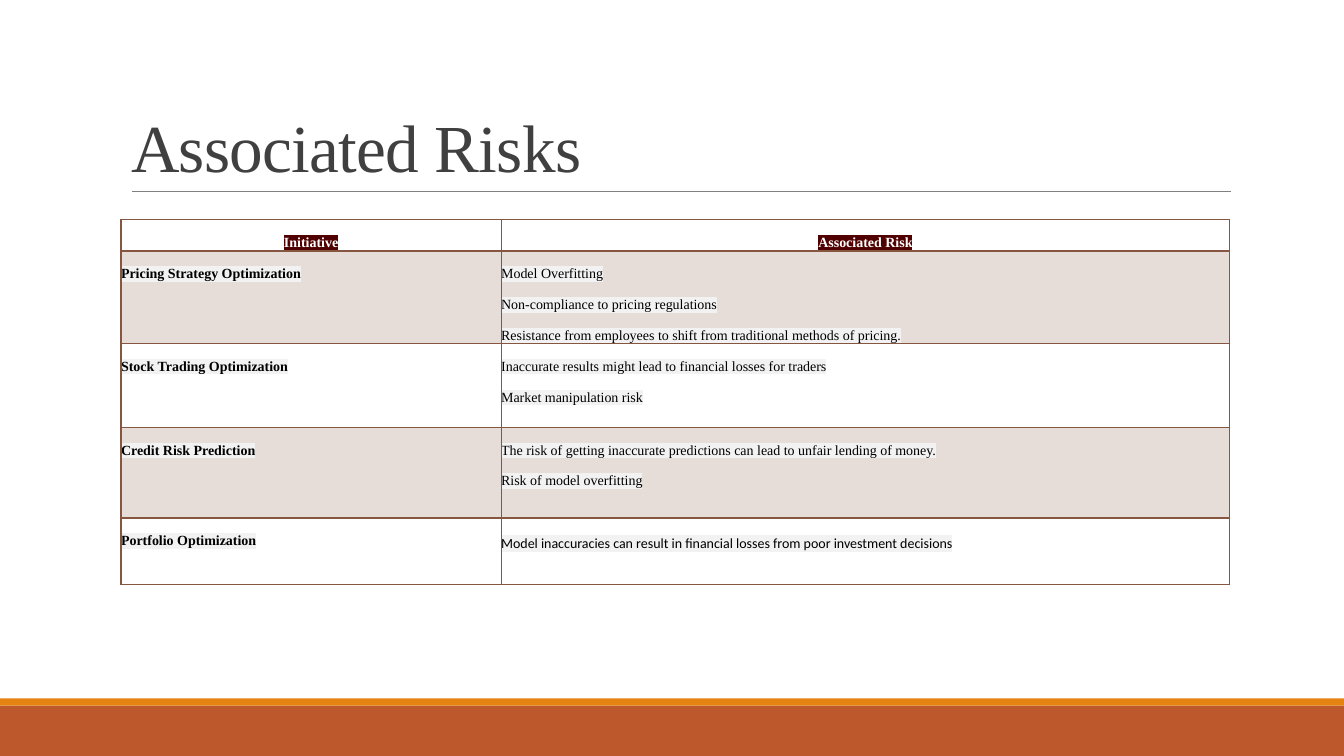
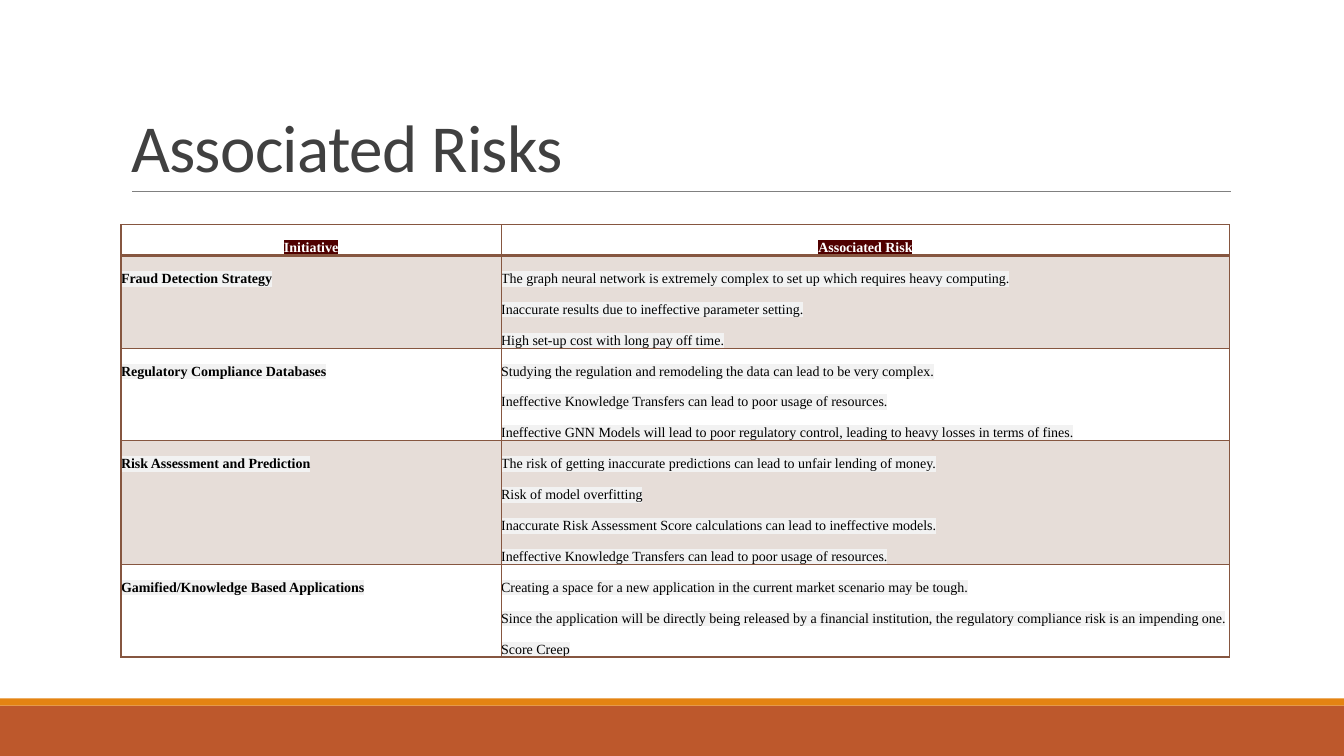
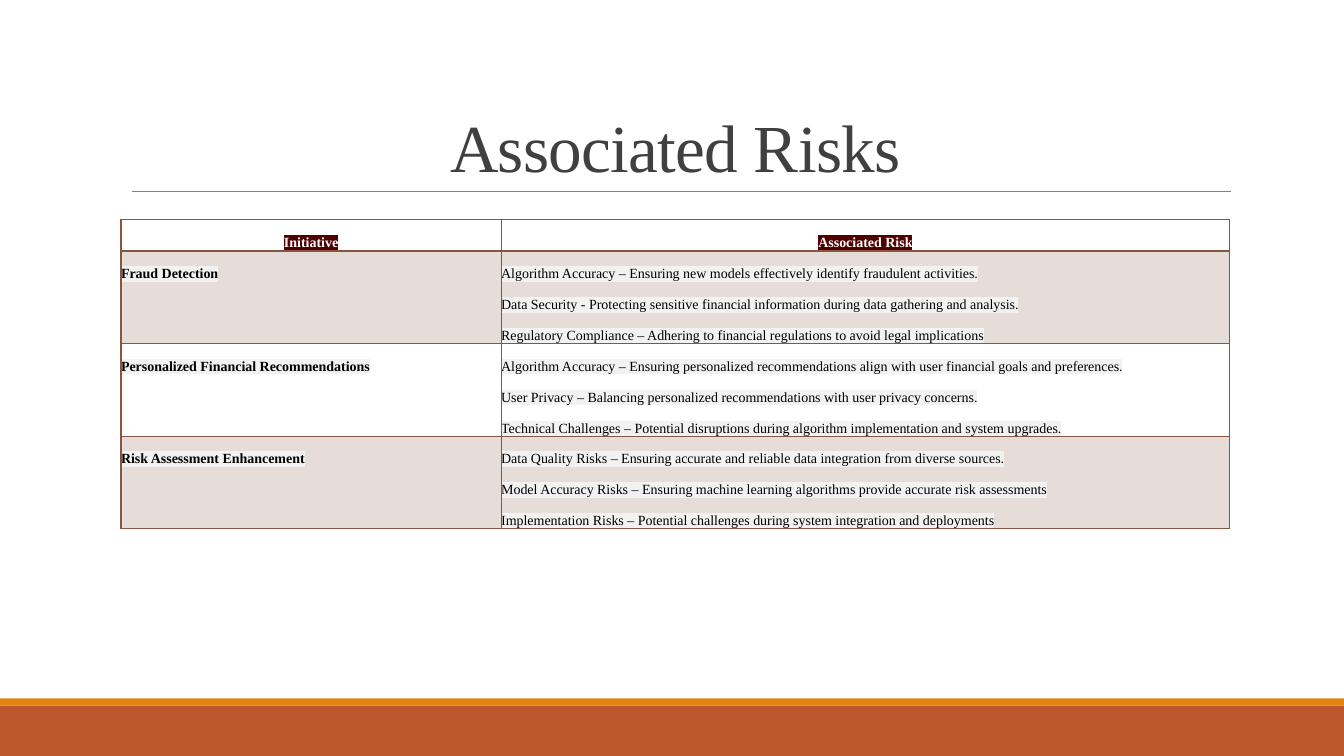
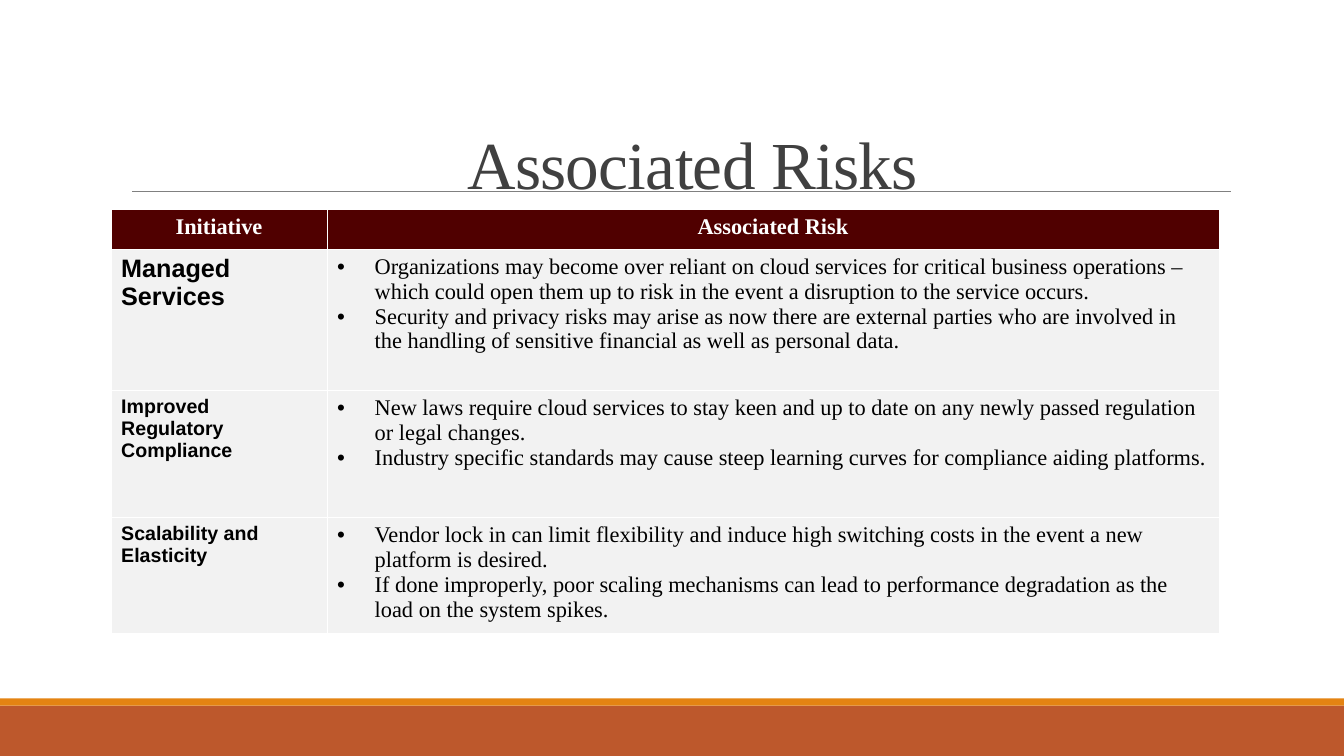
from dataclasses import dataclass
from typing import Optional

from lxml.etree import SubElement
from pptx import Presentation
from pptx.dml.color import RGBColor
from pptx.enum.shapes import MSO_CONNECTOR, MSO_SHAPE
from pptx.enum.text import MSO_ANCHOR as Anchor, MSO_AUTO_SIZE as AutoSize, PP_ALIGN as Align
from pptx.oxml.ns import qn
from pptx.util import Cm, Pt

RUST = RGBColor(0xBD, 0x58, 0x2C)
ORANGE = RGBColor(0xE4, 0x83, 0x12)
GREY = RGBColor(0x80, 0x80, 0x80)
CHARCOAL = RGBColor(0x40, 0x40, 0x40)
BROWN = RGBColor(0x86, 0x56, 0x40)
MAROON = RGBColor(0x50, 0x00, 0x00)
PALE = RGBColor(0xF2, 0xF2, 0xF2)
BLACK = RGBColor(0x00, 0x00, 0x00)
WHITE = RGBColor(0xFF, 0xFF, 0xFF)

SERIF = "Times New Roman"
SANS = "Calibri"
HEADINGS = ("Initiative", "Associated Risk")
HANGING = Cm(0.95)


@dataclass(frozen=True)
class TextStyle:
    size: float
    font: str = SERIF
    bold: bool = False
    color: RGBColor = BLACK
    highlight: RGBColor = PALE
    align: Align = Align.LEFT
    spacing: float = 1.0
    hanging: bool = False
    bullet: bool = False


@dataclass(frozen=True)
class CellStyle:
    border: RGBColor
    width: float = 1
    bottom: float = 1
    fill: Optional[RGBColor] = None
    alpha: int = 100
    inset: Optional[float] = None


@dataclass(frozen=True)
class Risk:
    initiative: str
    risks: tuple[str, ...]
    height: float = 2.11
    name_size: float = 10
    risk_font: str = SERIF


@dataclass(frozen=True)
class TableStyle:
    left: float
    columns: tuple[float, float]
    header_height: float
    header_text: TextStyle
    header_cell: CellStyle
    band_cells: tuple[CellStyle, CellStyle]
    name_font: str
    name_align: Align
    risk_size: float
    spacing: float
    bullet: bool


@dataclass(frozen=True)
class RiskPage:
    style: TableStyle
    top: float
    rows: tuple[Risk, ...]
    title_font: str = SERIF
    title_align: Align = Align.LEFT
    title_at: Optional[tuple[float, float]] = None


OUTLINED = TableStyle(
    left=3.05, columns=(9.58, 18.36), header_height=0.69,
    header_text=TextStyle(10, bold=True, color=WHITE, highlight=MAROON,
                          align=Align.CENTER, spacing=2),
    header_cell=CellStyle(BROWN, bottom=2, inset=0),
    band_cells=(CellStyle(BROWN, fill=BROWN, alpha=20, inset=0), CellStyle(BROWN, inset=0)),
    name_font=SERIF, name_align=Align.JUSTIFY, risk_size=10, spacing=2, bullet=False)

FILLED_BODY = CellStyle(WHITE, 0.75, 0.75, fill=PALE)
FILLED = TableStyle(
    left=2.8, columns=(5.44, 22.48), header_height=1,
    header_text=TextStyle(16, bold=True, color=WHITE, highlight=MAROON, align=Align.CENTER),
    header_cell=CellStyle(WHITE, 0.75, 0.75, fill=MAROON),
    band_cells=(FILLED_BODY, FILLED_BODY),
    name_font="Arial", name_align=Align.LEFT, risk_size=16, spacing=1, bullet=True)

PAGES = (
    RiskPage(OUTLINED, 5.54, (
        Risk("Pricing Strategy Optimization", (
            "Model Overfitting",
            "Non-compliance to pricing regulations",
            "Resistance from employees to shift from traditional methods of pricing.")),
        Risk("Stock Trading Optimization", (
            "Inaccurate results might lead to financial losses for traders",
            "Market manipulation risk")),
        Risk("Credit Risk Prediction", (
            "The risk of getting inaccurate predictions can lead to unfair lending of money.",
            "Risk of model overfitting"), 2.29),
        Risk("Portfolio Optimization", (
            "Model inaccuracies can result in financial losses from poor investment decisions",),
            1.68, risk_font=SANS))),
    RiskPage(OUTLINED, 5.66, (
        Risk("Fraud Detection Strategy", (
            "The graph neural network is extremely complex to set up which requires heavy computing.",
            "Inaccurate results due to ineffective parameter setting.",
            "High set-up cost with long pay off time.")),
        Risk("Regulatory Compliance Databases", (
            "Studying the regulation and remodeling the data can lead to be very complex.",
            "Ineffective Knowledge Transfers can lead to poor usage of resources.",
            "Ineffective GNN Models will lead to poor regulatory control, leading to heavy losses "
            "in terms of fines.")),
        Risk("Risk Assessment and Prediction", (
            "The risk of getting inaccurate predictions can lead to unfair lending of money.",
            "Risk of model overfitting",
            "Inaccurate Risk Assessment Score calculations can lead to ineffective models.",
            "Ineffective Knowledge Transfers can lead to poor usage of resources."), 2.82),
        Risk("Gamified/Knowledge Based Applications", (
            "Creating a space for a new application in the current market scenario may be tough.",
            "Since the application will be directly being released by a financial institution, "
            "the regulatory compliance risk is an impending one.",
            "Score Creep"))), title_font=SANS),
    RiskPage(OUTLINED, 5.54, (
        Risk("Fraud Detection", (
            "Algorithm Accuracy – Ensuring new models effectively identify fraudulent activities.",
            "Data Security - Protecting sensitive financial information during data gathering "
            "and analysis.",
            "Regulatory Compliance – Adhering to financial regulations to avoid legal implications")),
        Risk("Personalized Financial Recommendations", (
            "Algorithm Accuracy – Ensuring personalized recommendations align with user financial "
            "goals and preferences.",
            "User Privacy – Balancing personalized recommendations with user privacy concerns.",
            "Technical Challenges – Potential disruptions during algorithm implementation and "
            "system upgrades.")),
        Risk("Risk Assessment Enhancement", (
            "Data Quality Risks – Ensuring accurate and reliable data integration from diverse "
            "sources.",
            "Model Accuracy Risks – Ensuring machine learning algorithms provide accurate risk "
            "assessments",
            "Implementation Risks – Potential challenges during system integration and "
            "deployments"), 2.29)), title_align=Align.CENTER),
    RiskPage(FILLED, 5.28, (
        Risk("Managed Services", (
            "Organizations may become over reliant on cloud services for critical business "
            "operations – which could open them up to risk in the event a disruption to the "
            "service occurs.",
            "Security and privacy risks may arise as now there are external parties who are "
            "involved in the handling of sensitive financial as well as personal data."),
            3.56, name_size=18),
        Risk("Improved Regulatory Compliance", (
            "New laws require cloud services to stay keen and up to date on any newly passed "
            "regulation or legal changes.",
            "Industry specific standards may cause steep learning curves for compliance aiding "
            "platforms."), 3.2, name_size=14),
        Risk("Scalability and Elasticity", (
            "Vendor lock in can limit flexibility and induce high switching costs in the event "
            "a new platform is desired.",
            "If done improperly, poor scaling mechanisms can lead to performance degradation as "
            "the load on the system spikes."), 2.92, name_size=14)),
        title_align=Align.CENTER, title_at=(3.48, 1.22)),
)


def add_color(parent, tag: str, color: RGBColor) -> None:
    SubElement(SubElement(parent, qn(tag)), qn("a:srgbClr"), val=str(color))


def style_layout(layout, page, width: int) -> None:
    title = layout.placeholders[0]
    title.left, title.top, title.width, title.height = Cm(3.05), Cm(0.79), Cm(27.94), Cm(4.04)
    title.text_frame.vertical_anchor = Anchor.BOTTOM
    title.text_frame.auto_size = AutoSize.NONE
    for top, height, color in ((17.78, 1.27, RUST), (17.6, 0.18, ORANGE)):
        band = page.shapes.add_shape(MSO_SHAPE.RECTANGLE, 0, Cm(top), width, Cm(height))
        band.shadow.inherit = False
        band.fill.solid()
        band.fill.fore_color.rgb = color
        band.line.fill.background()
        layout.shapes.element.append(band.element)
    rule = page.shapes.add_connector(MSO_CONNECTOR.STRAIGHT, Cm(3.33), Cm(4.83), Cm(31.01), Cm(4.83))
    rule.line.color.rgb = GREY
    rule.line.width = Pt(0.5)
    SubElement(rule.element.spPr, qn("a:effectLst"))
    layout.shapes.element.append(rule.element)


def write_title(page, item: RiskPage) -> None:
    title = page.shapes.title
    if item.title_at:
        left, top = item.title_at
        title.left, title.top, title.width, title.height = Cm(left), Cm(top), Cm(27.94), Cm(4.04)
    title.text_frame.text = "Associated Risks"
    para = title.text_frame.paragraphs[0]
    para.alignment = item.title_align
    para.line_spacing = 0.85
    span = para.runs[0]
    span.font.size = Pt(48)
    span.font.name = item.title_font
    span.font.color.rgb = CHARCOAL
    span.font._element.set("spc", "-50")


def style_cell(cell, style: CellStyle) -> None:
    properties = cell._tc.get_or_add_tcPr()
    for side in ("L", "R", "T", "B"):
        width = style.bottom if side == "B" else style.width
        line = SubElement(properties, qn(f"a:ln{side}"), w=str(int(Pt(width))))
        add_color(line, "a:solidFill", style.border)
    if style.fill is None:
        cell.fill.background()
    else:
        cell.fill.solid()
        cell.fill.fore_color.rgb = style.fill
        if style.alpha < 100:
            color = properties.find(qn("a:solidFill"))[0]
            SubElement(color, qn("a:alpha"), val=str(style.alpha * 1000))
    if style.inset is not None:
        cell.margin_left = cell.margin_right = cell.margin_top = cell.margin_bottom = Cm(style.inset)


def write_cell(cell, lines: tuple[str, ...], text: TextStyle, style: CellStyle) -> None:
    style_cell(cell, style)
    cell.text_frame.text = "\n".join(lines)
    for para in cell.text_frame.paragraphs:
        para.alignment = text.align
        para.line_spacing = text.spacing
        properties = para._p.get_or_add_pPr()
        if text.hanging:
            properties.set("marL", str(HANGING))
            properties.set("indent", str(-HANGING))
        if text.bullet:
            SubElement(properties, qn("a:buFont"), typeface="Arial")
            SubElement(properties, qn("a:buChar"), char="•")
        for span in para.runs:
            span.font.size = Pt(text.size)
            span.font.bold = text.bold
            span.font.color.rgb = text.color
            add_color(span.font._element, "a:highlight", text.highlight)
            span.font.name = text.font


def draw_table(page, item: RiskPage) -> None:
    style = item.style
    heights = (style.header_height, *(row.height for row in item.rows))
    frame = page.shapes.add_table(len(heights), 2, Cm(style.left), Cm(item.top),
                                  Cm(sum(style.columns)), Cm(sum(heights)))
    table = frame.table
    table.first_row = table.horz_banding = False
    for column, width in zip(table.columns, style.columns):
        column.width = Cm(width)
    for row, height in zip(table.rows, heights):
        row.height = Cm(height)
    for index, heading in enumerate(HEADINGS):
        write_cell(table.cell(0, index), (heading,), style.header_text, style.header_cell)
    for index, risk in enumerate(item.rows):
        band = style.band_cells[index % 2]
        name_text = TextStyle(risk.name_size, style.name_font, bold=True,
                              align=style.name_align, spacing=style.spacing)
        risk_text = TextStyle(style.risk_size, risk.risk_font, spacing=style.spacing,
                              hanging=True, bullet=style.bullet)
        write_cell(table.cell(index + 1, 0), (risk.initiative,), name_text, band)
        write_cell(table.cell(index + 1, 1), risk.risks, risk_text, band)


def main() -> None:
    deck = Presentation()
    deck.slide_width, deck.slide_height = Cm(33.87), Cm(19.05)
    layout = deck.slide_layouts[5]
    for index, item in enumerate(PAGES):
        page = deck.slides.add_slide(layout)
        if index == 0:
            style_layout(layout, page, deck.slide_width)
        write_title(page, item)
        draw_table(page, item)
    deck.save("out.pptx")


if __name__ == "__main__":
    main()
